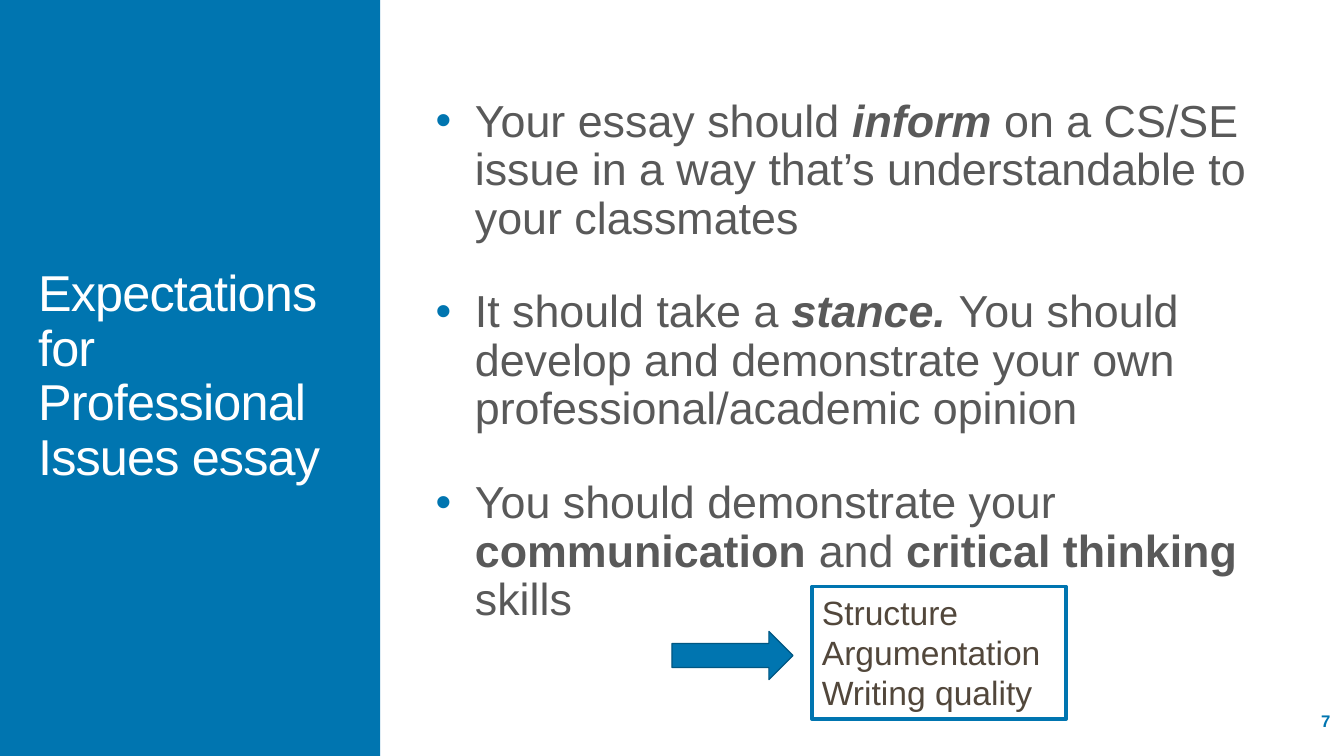
import dataclasses

import pptx
import pptx.dml.color
import pptx.enum.shapes
import pptx.enum.text
import pptx.oxml
import pptx.oxml.ns
import pptx.util

Pt = pptx.util.Pt
Shape = pptx.enum.shapes.MSO_SHAPE
Align = pptx.enum.text.PP_ALIGN
Anchor = pptx.enum.text.MSO_ANCHOR
Fit = pptx.enum.text.MSO_AUTO_SIZE


@dataclasses.dataclass(frozen=True)
class Theme:
    font: str = "Arial"
    blue: str = "0075B0"
    navy: str = "005782"
    white: str = "FFFFFF"
    gray: str = "595959"
    brown: str = "52473B"
    head: int = 36
    body: int = 32
    note: int = 24
    foot: int = 12


THEME = Theme()
TITLE = "Expectations for Professional Issues essay"
# Each run is its text and its style: "b" for bold, "i" for italic.
POINTS = [
    [("Your essay should ", ""), ("inform", "bi"),
     (" on a CS/SE issue in a way that’s understandable to your classmates", "")],
    [("It should take a ", ""), ("stance. ", "bi"),
     ("You should develop and demonstrate your own professional/academic opinion", "")],
    [("You should demonstrate your ", ""), ("communication ", "b"), ("and ", ""),
     ("critical thinking", "b"), (" skills", "")],
]
SKILLS = ["Structure", "Argumentation", "Writing quality"]


def color(code):
    return pptx.dml.color.RGBColor.from_string(code)


def place(shape, box):
    shape.left, shape.top, shape.width, shape.height = map(Pt, box)


def write(shape, paras, *, size, ink, bold=False, align=Align.LEFT,
          anchor=Anchor.MIDDLE, fit=Fit.NONE, line=None, gap=0, track=0, bullet=None):
    """Fill a shape with paragraphs, each a list of (text, style) runs."""
    frame = shape.text_frame
    frame.word_wrap = True
    frame.auto_size = fit
    frame.vertical_anchor = anchor
    for i, runs in enumerate(paras):
        para = frame.add_paragraph() if i else frame.paragraphs[0]
        if bullet:
            mark(para, bullet)
        para.alignment = align
        para.space_before = Pt(gap if i else 0)
        if line:
            para.line_spacing = line
        for text, style in runs:
            run = para.add_run()
            run.text = text
            font = run.font
            font.name, font.size = THEME.font, Pt(size)
            font.bold, font.italic = bold or "b" in style, "i" in style
            font.color.rgb = color(ink)
            if track:
                run._r.get_or_add_rPr().set("spc", str(round(track * 100)))


def mark(para, ink):
    """Give a paragraph a hanging bullet."""
    props = para._p.get_or_add_pPr()
    props.set("marL", str(Pt(28)))
    props.set("indent", str(-Pt(28)))
    space = pptx.oxml.ns.nsdecls("a")
    for xml in (f'<a:buClr {space}><a:srgbClr val="{ink}"/></a:buClr>',
                f'<a:buFont {space} typeface="{THEME.font}"/>',
                f'<a:buChar {space} char="•"/>'):
        props.append(pptx.oxml.parse_xml(xml))


def draw(slide, kind, box, fill=None, edge=None, width=1):
    shape = slide.shapes.add_shape(kind, *map(Pt, box))
    shape.shadow.inherit = False
    if fill:
        shape.fill.solid()
        shape.fill.fore_color.rgb = color(fill)
    else:
        shape.fill.background()
    if edge:
        shape.line.color.rgb = color(edge)
        shape.line.width = Pt(width)
    else:
        shape.line.fill.background()
    return shape


def panel(slide, box):
    x, y, w, h = box
    back = draw(slide, Shape.RECTANGLE, box, THEME.blue)
    slide.shapes._spTree.insert(2, back._element)
    title = slide.shapes.title
    place(title, (x + 20, y + 88.5, w - 39.5, 362))
    write(title, [[(TITLE, "")]], size=THEME.head, ink=THEME.white, line=0.9, track=-0.6)


def points(slide, box):
    body = slide.placeholders[1]
    place(body, box)
    write(body, POINTS, size=THEME.body, ink=THEME.gray, line=0.9, gap=32.5,
          bullet=THEME.blue)


def skills(slide, box):
    """Draw an arrow that leads to a framed list of skills."""
    x, y, w, h = box
    draw(slide, Shape.RIGHT_ARROW, (x, y + 32, 86.5, 34.5), THEME.blue, THEME.navy, 0.85)
    frame = draw(slide, Shape.RECTANGLE, (x + 100, y, w - 100, h), edge=THEME.blue, width=2.75)
    write(frame, [[(name, "")] for name in SKILLS], size=THEME.note, ink=THEME.brown,
          anchor=Anchor.TOP, fit=Fit.SHAPE_TO_FIT_TEXT)


def footer(slide, box):
    number = slide.shapes.add_textbox(*map(Pt, box))
    write(number, [[("7", "")]], size=THEME.foot, ink=THEME.blue, bold=True, align=Align.RIGHT)


def main():
    deck = pptx.Presentation()
    deck.slide_width, deck.slide_height = Pt(960), Pt(540)
    slide = deck.slides.add_slide(deck.slide_layouts[1])
    panel(slide, (0, 0, 271.5, 540))
    points(slide, (304, 15, 605.5, 487))
    skills(slide, (480, 419, 281.5, 94.5))
    footer(slide, (837.5, 500.5, 120, 29))
    deck.save("out.pptx")


if __name__ == "__main__":
    main()
